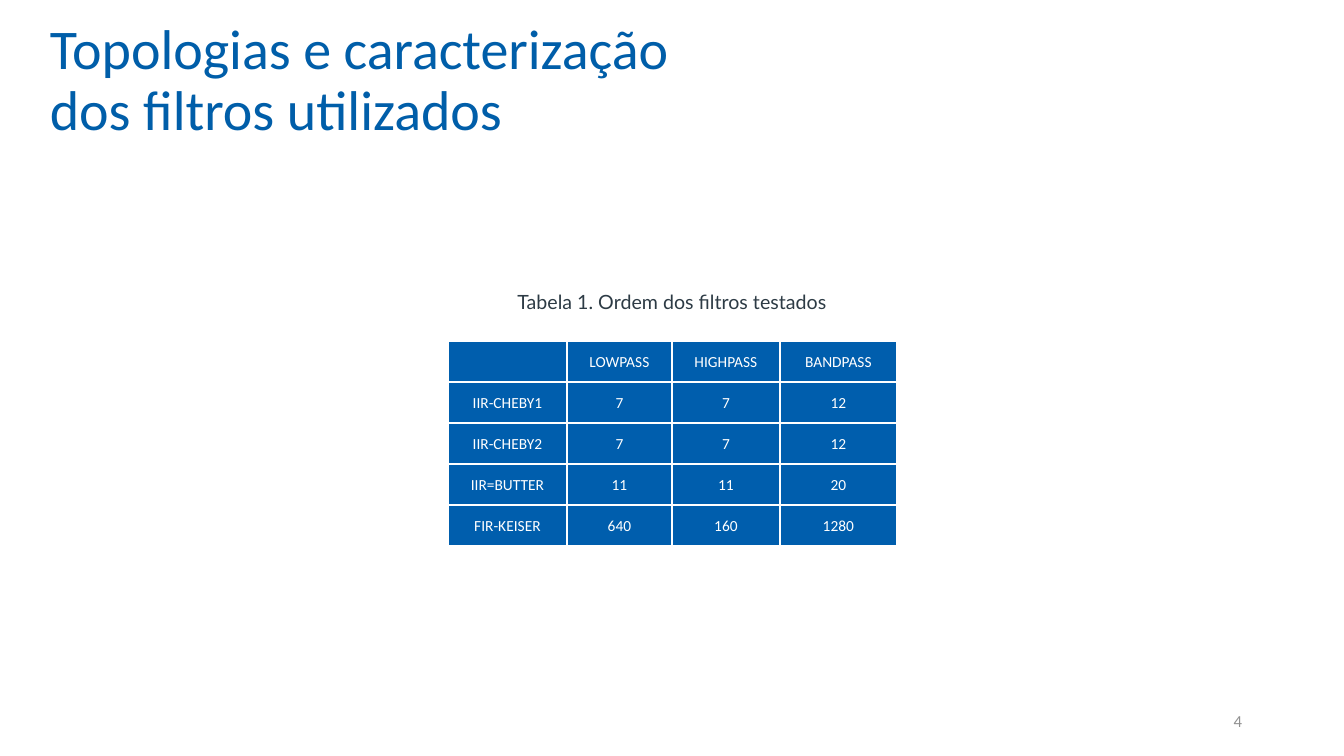
from lxml import etree
from pptx import Presentation
from pptx import util as u
from pptx.dml.color import RGBColor
from pptx.enum import text
from pptx.oxml.ns import qn

PX = 12192000 / 1344  # EMU in one px

TITLE_BLUE = "005EA9"
TABLE_BLUE = "005EAD"
WHITE = "FFFFFF"

FILTER_ORDERS = [
    ["", "LOWPASS", "HIGHPASS", "BANDPASS"],
    ["IIR-CHEBY1", "7", "7", "12"],
    ["IIR-CHEBY2", "7", "7", "12"],
    ["IIR=BUTTER", "11", "11", "20"],
    ["FIR-KEISER", "640", "160", "1280"],
]
COLUMN_WIDTHS = [119, 105, 108, 117]
ROW_HEIGHT = 41


def px(length):
    return u.Emu(round(length * PX))


def color(hex_string):
    return RGBColor.from_string(hex_string)


def write(frame, words, size, ink, font="Calibri", align="LEFT", spacing=1.0):
    """Fill a text frame with one paragraph in one format."""
    para = frame.paragraphs[0]
    para.text = words
    para.alignment = getattr(text.PP_ALIGN, align)
    para.line_spacing = spacing
    for span in para.runs:
        span.font.name = font
        span.font.size = u.Pt(size)
        span.font.color.rgb = color(ink)


def add_text(page, box, words, anchor="MIDDLE", **style):
    frame = page.shapes.add_textbox(*map(px, box)).text_frame
    frame.word_wrap = True
    frame.vertical_anchor = getattr(text.MSO_ANCHOR, anchor)
    write(frame, words, **style)


def add_borders(cell, ink, width):
    properties = cell._tc.get_or_add_tcPr()
    for position, side in enumerate(("a:lnL", "a:lnR", "a:lnT", "a:lnB")):
        line = etree.Element(qn(side), w=str(u.Pt(width)))
        fill = etree.SubElement(line, qn("a:solidFill"))
        etree.SubElement(fill, qn("a:srgbClr"), val=ink)
        properties.insert(position, line)


def add_orders_table(page, left, top):
    size = sum(COLUMN_WIDTHS), ROW_HEIGHT * len(FILTER_ORDERS)
    table = page.shapes.add_table(
        len(FILTER_ORDERS), len(COLUMN_WIDTHS), *map(px, (left, top, *size))
    ).table
    table.first_row = table.horz_banding = False
    for column, width in zip(table.columns, COLUMN_WIDTHS):
        column.width = px(width)
    for row, values in zip(table.rows, FILTER_ORDERS):
        row.height = px(ROW_HEIGHT)
        for cell, value in zip(row.cells, values):
            cell.fill.solid()
            cell.fill.fore_color.rgb = color(TABLE_BLUE)
            cell.vertical_anchor = text.MSO_ANCHOR.MIDDLE
            cell.margin_left = cell.margin_right = cell.margin_top = px(1)
            cell.margin_bottom = 0
            write(cell.text_frame, value, size=11, ink=WHITE, align="CENTER")
            add_borders(cell, WHITE, 1)


def add_results(page, left, top):
    # Caption above, table below
    add_text(page, (left + 51, top, 346, 34), "Tabela 1. Ordem dos filtros testados",
             anchor="TOP", size=14, ink="2D3B45", font="Lato", align="CENTER")
    add_orders_table(page, left, top + 56)


def main():
    deck = Presentation()
    deck.slide_width, deck.slide_height = px(1344), px(756)
    page = deck.slides.add_slide(deck.slide_layouts[6])

    # Title
    add_text(page, (40, 9, 985, 146),
             "Topologias e caracterização\vdos filtros utilizados",
             size=40, ink=TITLE_BLUE, spacing=0.9)

    # Filter orders
    add_results(page, 448, 285)

    # Page number
    add_text(page, (950, 701, 302, 40), "4", size=12, ink="919191", align="RIGHT")

    deck.save("out.pptx")


if __name__ == "__main__":
    main()
